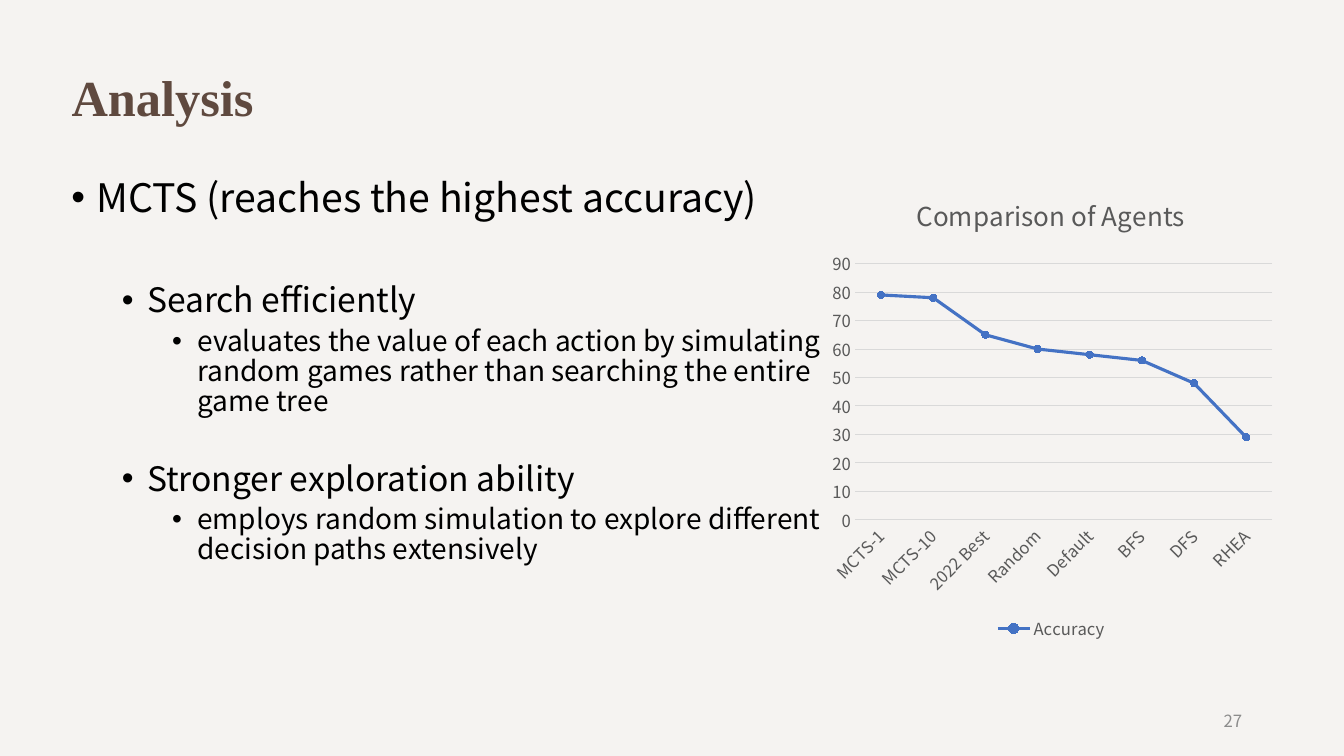
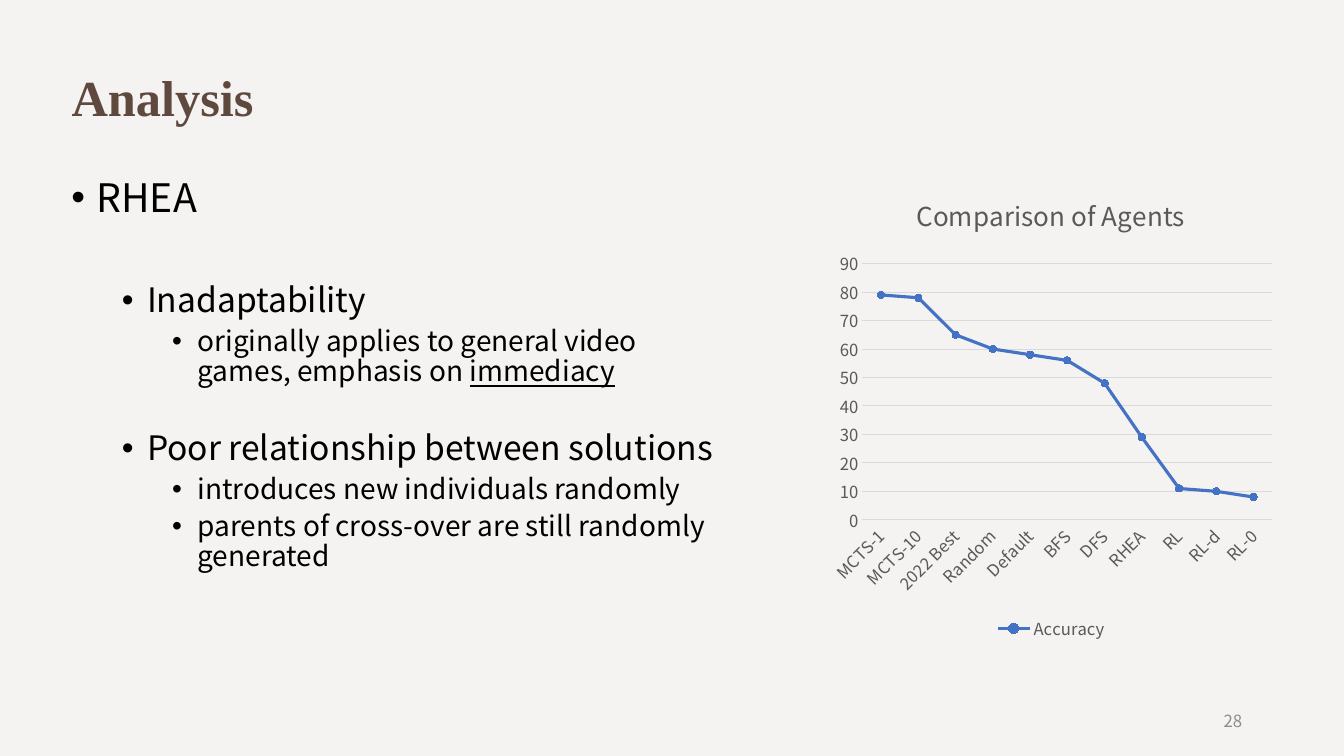
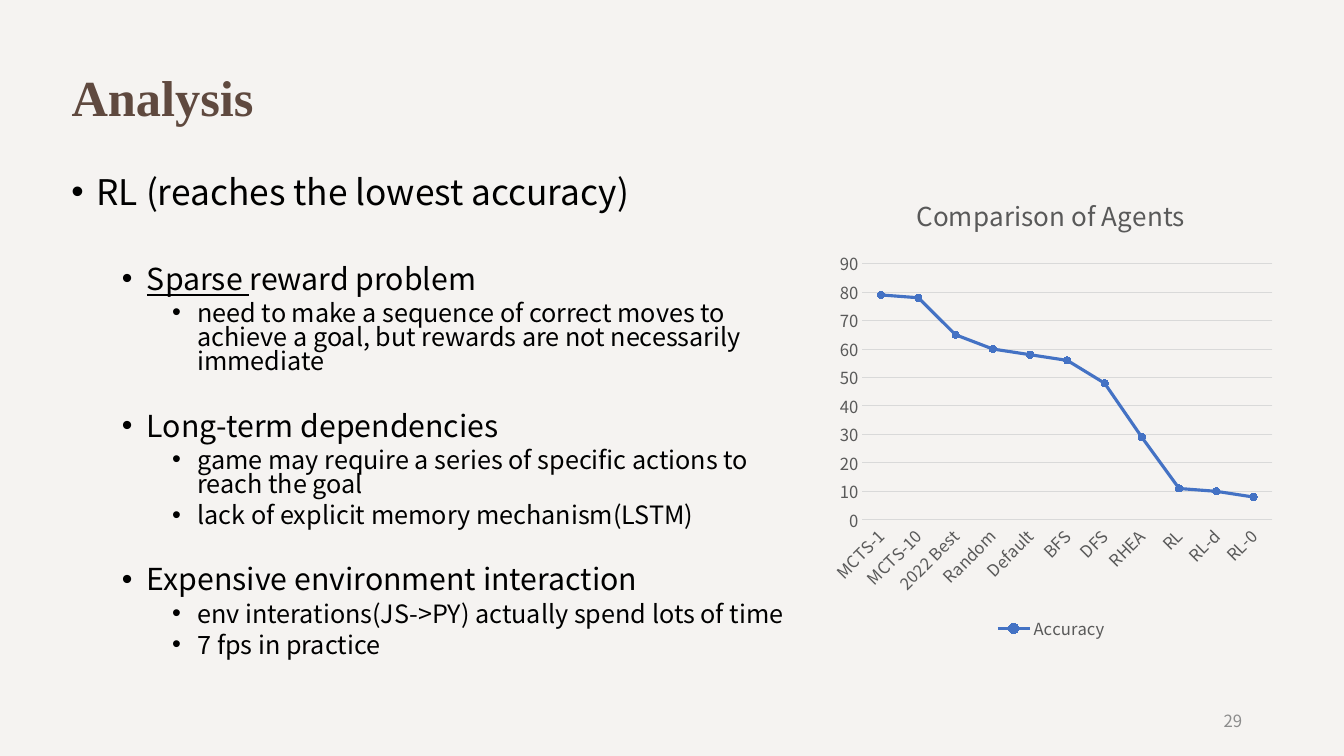
from lxml.etree import SubElement
from pptx import Presentation
from pptx.chart.data import CategoryChartData
from pptx.dml.color import RGBColor
from pptx.enum.chart import XL_CHART_TYPE, XL_LEGEND_POSITION, XL_MARKER_STYLE, XL_TICK_MARK
from pptx.enum.text import MSO_ANCHOR, PP_ALIGN
from pptx.oxml.ns import qn
from pptx.util import Inches, Pt

PAPER = RGBColor(0xF5, 0xF3, 0xF1)
BROWN = RGBColor(0x5F, 0x49, 0x3F)
BLACK = RGBColor(0, 0, 0)
GREY = RGBColor(0x8C, 0x8C, 0x8C)
SLATE = RGBColor(0x59, 0x59, 0x59)
RULE = RGBColor(0xD9, 0xD9, 0xD9)
BLUE = RGBColor(0x44, 0x72, 0xC4)
SANS = "Noto Sans CJK SC"
SERIF = "Times New Roman"

SIZES = (28, 24, 20)
SPACE = (10, 5, 5)
PITCH = 1.2
FIRST = 27
AGENTS = ("MCTS-1", "MCTS-10", "2022 Best", "Random", "Default", "BFS", "DFS", "RHEA",
          "RL", "RL-d", "RL-0")
SCORES = (79, 78, 65, 60, 58, 56, 48, 29, 11, 10, 8)

PAGES = (
    dict(width=7.82, count=8, scale=1, lead=0.9, lines=(
        (0, "MCTS (reaches the highest accuracy)"),
        (1, "Search efficiently"),
        (2, "evaluates the value of each action by simulating random games "
            "rather than searching the entire game tree"),
        (1, "Stronger exploration ability"),
        (2, "employs random simulation to explore different decision paths extensively"),
    )),
    dict(width=6.65, count=11, scale=1, lead=0.9, lines=(
        (0, "RHEA"),
        (1, "Inadaptability"),
        (2, "originally applies to general video games, emphasis on *immediacy"),
        (1, "Poor relationship between solutions"),
        (2, "introduces new individuals randomly"),
        (2, "parents of cross-over are still randomly generated"),
    )),
    dict(width=7.3, count=11, scale=0.9, lead=0.8, lines=(
        (0, "RL (reaches the lowest accuracy)"),
        (1, "*Sparse *reward problem"),
        (2, "need to make a sequence of correct moves to achieve a goal, "
            "but rewards are not necessarily immediate"),
        (1, "Long-term dependencies"),
        (2, "game may require a series of specific actions to reach the goal"),
        (2, "lack of explicit memory mechanism(LSTM)"),
        (1, "Expensive environment interaction"),
        (2, "env interations(JS->PY) actually spend lots of time"),
        (2, "7 fps in practice"),
    )),
)


def style(font, size, color, name=SANS, bold=False):
    """Set the face, size and colour of a font."""
    font.name, font.size, font.bold = name, Pt(size), bold
    font.color.rgb = color


def write(para, text, lead=None, before=None, align=None, **face):
    """Write text into a paragraph, underlining each part after an odd asterisk."""
    para.line_spacing, para.alignment = lead, align
    if before is not None:
        para.space_before = Pt(before)
    for order, part in enumerate(text.split("*")):
        if part:
            run = para.add_run()
            run.text = part
            style(run.font, **face)
            if order % 2:
                run.font.underline = True


def bullet(para, level):
    """Give a paragraph a hanging bullet at its level."""
    para.level = level
    props = para._p.get_or_add_pPr()
    props.set("marL", str(Inches(0.25 + 0.5 * level)))
    props.set("indent", str(Inches(-0.25)))
    SubElement(props, qn("a:buFont")).set("typeface", "Arial")
    SubElement(props, qn("a:buChar")).set("char", "•")


def add_title(slide, text):
    """Place and fill the title."""
    title = slide.shapes.title
    title.left, title.top = Inches(0.61), Inches(0.27)
    title.width, title.height = Inches(11.5), Inches(1.45)
    frame = title.text_frame
    frame.vertical_anchor = MSO_ANCHOR.MIDDLE
    write(frame.paragraphs[0], text, lead=0.9, align=PP_ALIGN.LEFT,
          size=36, color=BROWN, name=SERIF, bold=True)


def add_box(slide, left, top, width, height):
    """Add a wrapping text box and return its frame."""
    box = slide.shapes.add_textbox(*map(Inches, (left, top, width, height)))
    box.text_frame.word_wrap = True
    return box.text_frame


def add_list(slide, lines, width, scale, lead):
    """Add the bullet list, with one line of air above each second-level point."""
    frame = add_box(slide, 0.61, 1.72, width, 4.76)
    last = None
    for level, text in lines:
        para = frame.paragraphs[0] if last is None else frame.add_paragraph()
        gap = 0 if last is None else SPACE[level]
        if level == 1:
            gap += SPACE[last] + round(SIZES[last] * scale * lead * PITCH, 1)
        write(para, text, lead=lead, before=gap,
              size=round(SIZES[level] * scale, 1), color=BLACK)
        bullet(para, level)
        last = level


def add_number(slide, number):
    """Add the page number."""
    frame = add_box(slide, 9.42, 6.95, 3, 0.4)
    frame.vertical_anchor = MSO_ANCHOR.MIDDLE
    write(frame.paragraphs[0], str(number), align=PP_ALIGN.RIGHT, size=12, color=GREY)


def draw(line, color, width):
    """Colour a line and set its width."""
    line.color.rgb, line.width = color, Pt(width)


def style_axes(chart):
    """Format both axes of the chart."""
    cat, val = chart.category_axis, chart.value_axis
    for axis in (cat, val):
        axis.major_tick_mark = axis.minor_tick_mark = XL_TICK_MARK.NONE
        style(axis.tick_labels.font, 11.9, SLATE)
    draw(cat.format.line, RULE, 0.75)
    cat._element.find(qn("c:txPr")).find(qn("a:bodyPr")).set("rot", "-2700000")
    val.format.line.fill.background()
    val.minimum_scale, val.maximum_scale, val.major_unit = 0, 90, 10
    draw(val.major_gridlines.format.line, RULE, 0.75)


def add_graph(slide, count):
    """Add the line chart of the first agents."""
    data = CategoryChartData()
    data.categories = AGENTS[:count]
    data.add_series("Accuracy", SCORES[:count])
    chart = slide.shapes.add_chart(XL_CHART_TYPE.LINE_MARKERS, Inches(8.14), Inches(1.72),
                                   Inches(4.57), Inches(4.68), data).chart
    style(chart.font, 10, BLACK)
    chart.has_title = True
    write(chart.chart_title.text_frame.paragraphs[0], "Comparison of Agents",
          size=18.6, color=SLATE)
    chart.chart_title.include_in_layout = False
    chart.has_legend = True
    chart.legend.position = XL_LEGEND_POSITION.BOTTOM
    chart.legend.include_in_layout = False
    style(chart.legend.font, 11.9, SLATE)
    style_axes(chart)
    plot = chart.plots[0]
    plot.vary_by_categories = False
    series = plot.series[0]
    series.smooth = False
    draw(series.format.line, BLUE, 2.25)
    mark = series.marker
    mark.style, mark.size = XL_MARKER_STYLE.CIRCLE, 5
    mark.format.fill.solid()
    mark.format.fill.fore_color.rgb = BLUE
    draw(mark.format.line, BLUE, 0.75)


def main():
    """Build and save the deck."""
    deck = Presentation()
    deck.slide_width, deck.slide_height = Inches(13.33), Inches(7.5)
    back = deck.slide_master.background.fill
    back.solid()
    back.fore_color.rgb = PAPER
    for number, page in enumerate(PAGES, FIRST):
        slide = deck.slides.add_slide(deck.slide_layouts[5])
        add_title(slide, "Analysis")
        add_number(slide, number)
        add_list(slide, page["lines"], page["width"], page["scale"], page["lead"])
        add_graph(slide, page["count"])
    deck.save("out.pptx")


if __name__ == "__main__":
    main()
